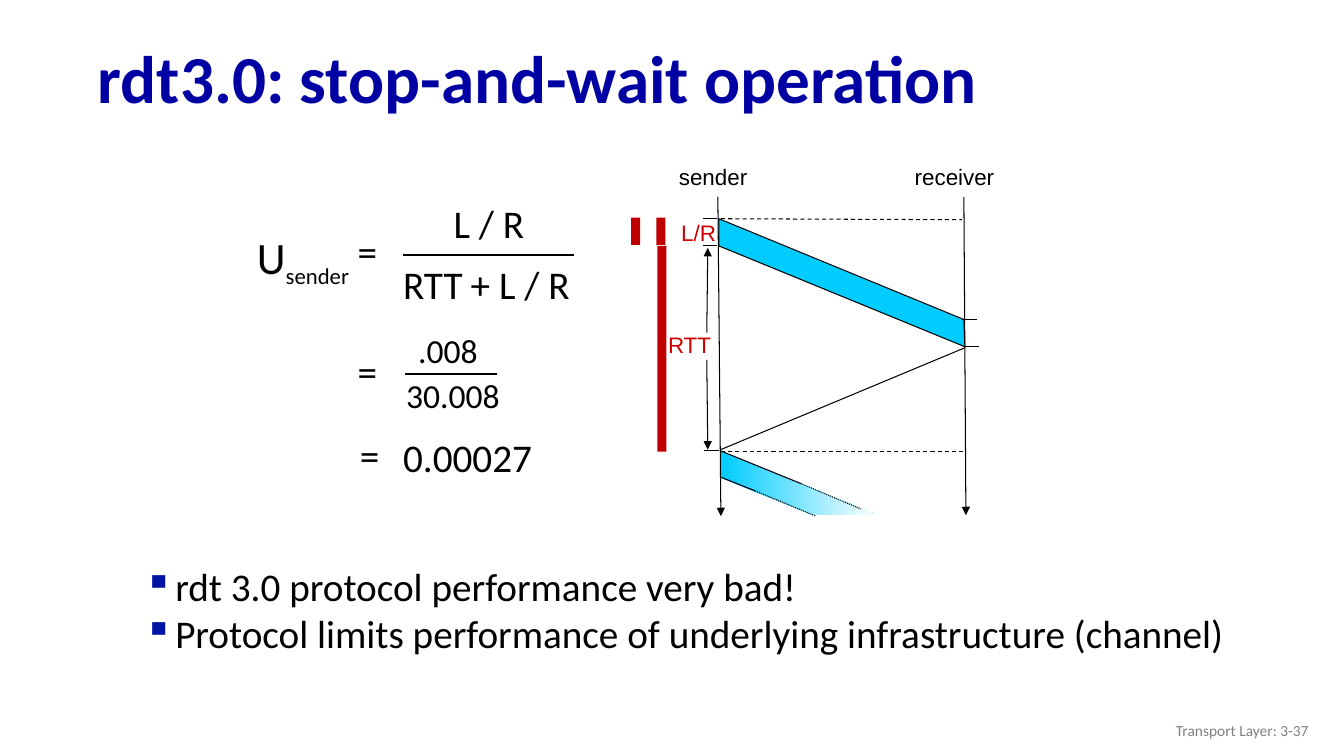
from lxml import etree
from pptx import Presentation
from pptx.dml.color import RGBColor
from pptx.enum.dml import MSO_LINE
from pptx.enum.shapes import MSO_CONNECTOR, MSO_SHAPE
from pptx.enum.text import MSO_ANCHOR, MSO_AUTO_SIZE, PP_ALIGN
from pptx.oxml.ns import qn
from pptx.util import Inches, Pt

STRAIGHT, RECTANGLE = MSO_CONNECTOR.STRAIGHT, MSO_SHAPE.RECTANGLE
DASH, DOTS = MSO_LINE.DASH, MSO_LINE.ROUND_DOT
LEFT, RIGHT = PP_ALIGN.LEFT, PP_ALIGN.RIGHT
MIDDLE, TOP = MSO_ANCHOR.MIDDLE, MSO_ANCHOR.TOP
FIXED, GROW = MSO_AUTO_SIZE.NONE, MSO_AUTO_SIZE.SHAPE_TO_FIT_TEXT

NAVY = RGBColor(0x00, 0x00, 0xA3)
BLACK = RGBColor(0x00, 0x00, 0x00)
WHITE = RGBColor(0xFF, 0xFF, 0xFF)
CYAN = RGBColor(0x00, 0xCC, 0xFF)
LABEL_RED = RGBColor(0xCC, 0x00, 0x00)
BAR_RED = RGBColor(0xC0, 0x00, 0x00)
GRAY = RGBColor(0x80, 0x80, 0x80)
BULLET_COLOR = "0013A3"


def box(at):
    return [Inches(value) for value in at]


def set_font(font, size, color=BLACK, name="Calibri", bold=False):
    font.name, font.size, font.bold = name, Pt(size), bold
    font.color.rgb = color


def add_text(slide, at, text, size, color=BLACK, name="Calibri",
             align=LEFT, anchor=TOP, wrap=True, autosize=FIXED):
    frame = slide.shapes.add_textbox(*box(at)).text_frame
    frame.word_wrap, frame.auto_size = wrap, autosize
    frame.vertical_anchor = anchor
    paragraph = frame.paragraphs[0]
    paragraph.text, paragraph.alignment = text, align
    set_font(paragraph.font, size, color, name)
    return frame


def add_term(slide, at, text, size=28):
    return add_text(slide, at, text, size, wrap=False, autosize=GROW)


def add_line(slide, start, end, width=0.75, dash=None, arrow=False):
    line = slide.shapes.add_connector(STRAIGHT, *box(start + end))
    line.line.color.rgb = BLACK
    line.line.width = Pt(width)
    if dash:
        line.line.dash_style = dash
    properties = line._element.spPr
    if arrow:
        etree.SubElement(properties.find(qn("a:ln")), qn("a:tailEnd"), type="triangle")
    etree.SubElement(properties, qn("a:effectLst"))


def add_rect(slide, at, color):
    rect = slide.shapes.add_shape(RECTANGLE, *box(at))
    rect.shadow.inherit = False
    rect.fill.solid()
    rect.fill.fore_color.rgb = color
    rect.line.fill.background()
    return rect


def add_host_label(slide, at, text):
    frame = add_rect(slide, at, WHITE).text_frame
    frame.vertical_anchor = TOP
    paragraph = frame.paragraphs[0]
    paragraph.text, paragraph.alignment = text, RIGHT
    set_font(paragraph.font, 16, name="Arial")


def add_packet(slide, corners):
    points = [tuple(box(corner)) for corner in corners]
    builder = slide.shapes.build_freeform(*points[0])
    builder.add_line_segments(points[1:], close=True)
    packet = builder.convert_to_shape()
    packet.shadow.inherit = False
    return packet


def add_title(slide):
    title = slide.shapes.title
    title.left, title.top, title.width, title.height = box((0.87, 0.32, 12.14, 0.98))
    frame = title.text_frame
    frame.auto_size, frame.vertical_anchor = FIXED, MIDDLE
    paragraph = frame.paragraphs[0]
    paragraph.text = "rdt3.0: stop-and-wait operation"
    paragraph.alignment, paragraph.line_spacing = LEFT, 0.9
    set_font(paragraph.font, 48, NAVY, bold=True)


def add_timing_diagram(slide):
    # Time axes and host names
    add_line(slide, (7.13, 2.18), (9.57, 3.19))
    add_line(slide, (7.12, 1.94), (7.15, 5.12), arrow=True)
    add_line(slide, (9.56, 1.95), (9.58, 5.11), arrow=True)
    add_host_label(slide, (6.54, 1.57, 0.97, 0.38), "sender")
    add_host_label(slide, (8.93, 1.57, 1.03, 0.38), "receiver")

    # Round trip: send times, acknowledgement, first packet
    add_line(slide, (7.15, 2.17), (9.54, 2.18), dash=DASH)
    add_line(slide, (7.15, 4.48), (9.55, 4.48), dash=DASH)
    add_line(slide, (7.15, 4.46), (9.57, 3.45))
    first_packet = add_packet(slide, [(7.13, 2.17), (9.56, 3.17), (9.57, 3.44), (7.13, 2.44)])
    first_packet.fill.solid()
    first_packet.fill.fore_color.rgb = CYAN
    first_packet.line.color.rgb = BLACK
    first_packet.line.width = Pt(0.75)

    # Ticks on the axes
    for left, right, y in [(6.97, 7.11, 2.17), (6.97, 7.11, 2.44), (6.98, 7.13, 4.47),
                           (9.54, 9.69, 3.17), (9.57, 9.71, 3.44)]:
        add_line(slide, (left, y), (right, y))

    # Next packet, fading out
    next_packet = add_packet(slide, [(7.15, 4.48), (8.7, 5.11), (8.07, 5.11), (7.15, 4.74)])
    next_packet.line.fill.background()
    next_packet.fill.gradient()
    next_packet.fill.gradient_angle = 0
    for stop, color, position in zip(next_packet.fill.gradient_stops, (CYAN, WHITE), (0, 1)):
        stop.color.rgb, stop.position = color, position
    for start, fade, end in [((7.14, 4.47), (7.95, 4.8), (8.54, 5.05)),
                             ((7.14, 4.73), (7.49, 4.87), (8.09, 5.12))]:
        add_line(slide, start, fade)
        add_line(slide, fade, end, dash=DOTS)


def add_durations(slide):
    rtt = add_text(slide, (6.26, 3.24, 0.93, 0.37), "RTT", 16, LABEL_RED, "Arial", RIGHT)
    gap = rtt.paragraphs[0].add_run()
    gap.text = " "
    gap.font.size = Pt(10)
    add_line(slide, (7.01, 3.57), (7.02, 4.46), arrow=True)
    add_line(slide, (7.01, 3.3), (7.02, 2.46), arrow=True)
    add_text(slide, (6.27, 2.12, 0.93, 0.37), "L/R", 16, LABEL_RED, "Arial", RIGHT)
    for left, top, height in [(6.52, 2.44, 2.04), (6.51, 2.16, 0.27), (6.26, 2.16, 0.27)]:
        add_rect(slide, (left, top, 0.09, height), BAR_RED)


def add_utilization(slide):
    # Left-hand side
    utilization = add_term(slide, (2.45, 2.23, 1.22, 0.64), "U", 32)
    subscript = utilization.paragraphs[0].add_run()
    subscript.text = "sender"
    subscript.font.size = Pt(28)
    subscript.font._element.set("baseline", "-25000")
    for left, top in [(3.45, 2.21), (3.45, 3.4), (3.47, 4.23)]:
        add_term(slide, (left, top, 0.4, 0.57), "=")

    # Formula, numbers and result
    add_term(slide, (4.4, 1.93, 0.91, 0.57), "L / R")
    add_line(slide, (4, 2.53), (5.69, 2.53), width=1.75)
    add_term(slide, (3.9, 2.53, 0.8, 0.57), "RTT")
    add_term(slide, (4.57, 2.53, 1.2, 0.57), "+ L / R")
    add_term(slide, (4.05, 3.22, 0.8, 0.5), ".008", 24)
    add_line(slide, (4.02, 3.71), (4.93, 3.71), width=1.5)
    add_term(slide, (3.93, 3.67, 1.14, 0.5), "30.008", 24)
    add_term(slide, (3.9, 4.25, 1.5, 0.57), "0.00027")


def add_conclusions(slide):
    points = ["rdt 3.0 protocol performance very bad!",
              "Protocol limits performance of underlying infrastructure (channel)"]
    frame = add_text(slide, (1.33, 5.53, 11.15, 1.35), points[0], 28, autosize=GROW)
    frame.add_paragraph().text = points[1]
    for paragraph in frame.paragraphs:
        properties = paragraph._p.get_or_add_pPr()
        properties.set("marL", str(Inches(0.31)))
        properties.set("indent", str(-Inches(0.31)))
        bullet_color = etree.Element(qn("a:buClr"))
        etree.SubElement(bullet_color, qn("a:srgbClr"), val=BULLET_COLOR)
        properties.insert(0, bullet_color)
        bullet = etree.Element(qn("a:buChar"), char="▪")
        properties.insert(1, bullet)
        set_font(paragraph.font, 28)


def main():
    deck = Presentation()
    deck.slide_width, deck.slide_height = Inches(13.33), Inches(7.5)
    slide = deck.slides.add_slide(deck.slide_layouts[5])
    add_title(slide)
    add_timing_diagram(slide)
    add_durations(slide)
    add_utilization(slide)
    add_conclusions(slide)
    add_text(slide, (10.08, 7.05, 3, 0.4), "Transport Layer: 3-37", 11, GRAY,
             align=RIGHT, anchor=MIDDLE)
    deck.save("out.pptx")


if __name__ == "__main__":
    main()
